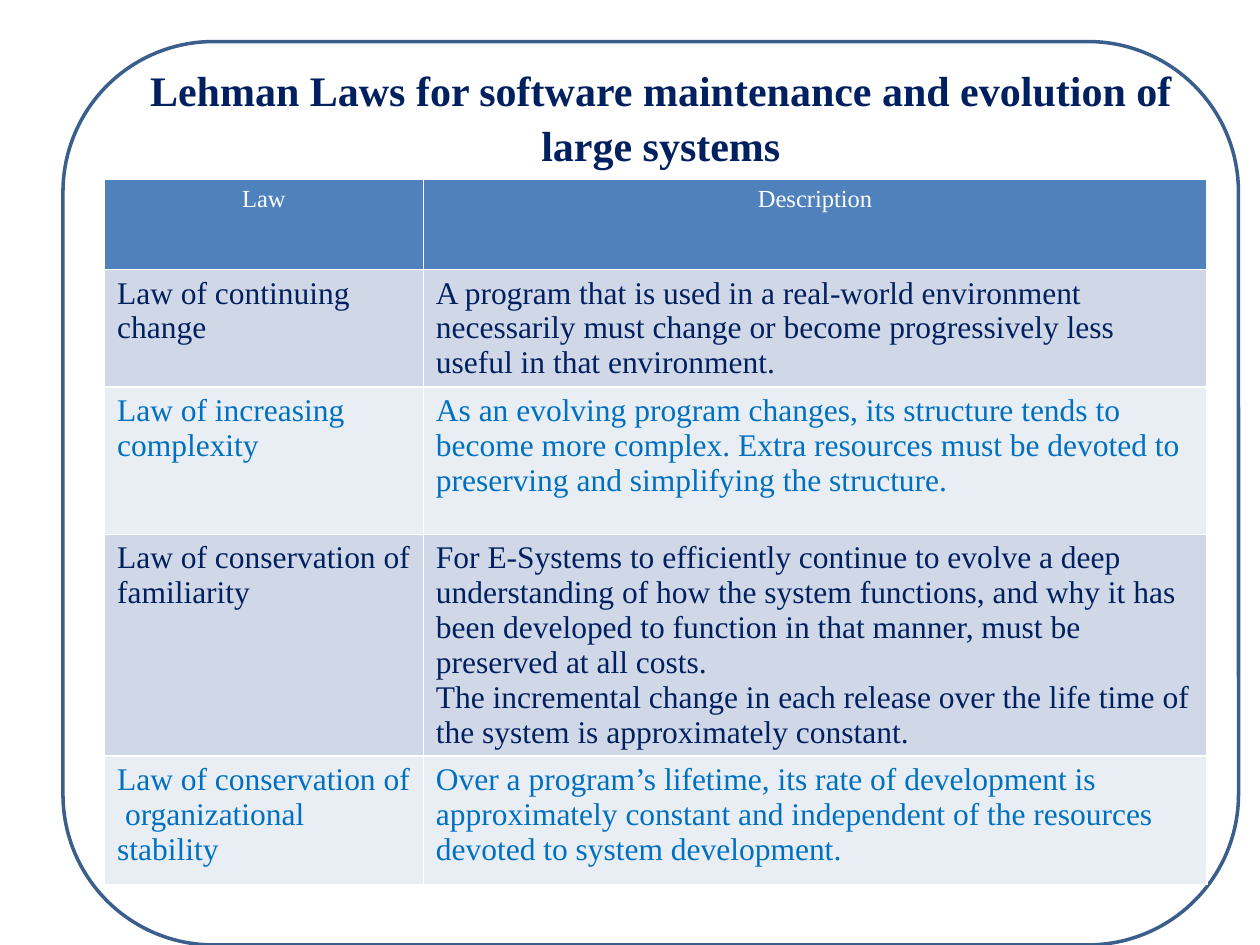
from typing import NamedTuple

from pptx import Presentation
from pptx import util as u
from pptx.dml.color import RGBColor
from pptx.enum import shapes, text

FONT = "Times New Roman"
COLORS = {
    "white": "FFFFFF", "frame": "3A5F8C", "header": "4F81BD",
    "navy": "002060", "blue": "0070C0",
    "band_dark": "D0D8E8", "band_light": "E9EDF4",
}
# (text colour, fill) of the alternating rows
BANDS = [("navy", "band_dark"), ("blue", "band_light")]
COLUMN_WIDTHS = [2.53, 6.22]
HEADER_HEIGHT = 0.72


class Law(NamedTuple):
    name: str
    description: str
    height: float


LAWS = [
    Law("Law of continuing  change",
        "A program that is used in a real-world environment necessarily must "
        "change or become progressively less useful in that environment.", 0.76),
    Law("Law of increasing complexity",
        "As an evolving program changes, its structure tends to become more "
        "complex. Extra resources must be devoted to preserving and "
        "simplifying the structure.", 1.17),
    Law("Law of conservation of familiarity",
        "For E-Systems to efficiently continue to evolve a deep understanding "
        "of how the system functions, and why it has been developed to "
        "function in that manner, must be preserved at all costs.\n"
        "The incremental change in each release over the life time of the "
        "system is approximately constant.", 1.02),
    Law("Law of conservation of  organizational stability",
        "Over a program’s lifetime, its rate of development is approximately "
        "constant and independent of the resources devoted to system "
        "development.", 1.02),
]


def rgb(name: str) -> RGBColor:
    return RGBColor.from_string(COLORS[name])


def write(frame, words: str, *, size: float, color: str, bold: bool = False,
          align=text.PP_ALIGN.LEFT, spacing: float = 1.0) -> None:
    frame.word_wrap = True
    frame.text = words
    for paragraph in frame.paragraphs:
        paragraph.alignment = align
        paragraph.line_spacing = spacing
        for run in paragraph.runs:
            run.font.name = FONT
            run.font.size = u.Pt(size)
            run.font.bold = bold
            run.font.color.rgb = rgb(color)


def fill_row(table, row: int, words: tuple, height: float, fill: str, **style) -> None:
    table.rows[row].height = u.Inches(height)
    for column, entry in enumerate(words):
        cell = table.cell(row, column)
        cell.fill.solid()
        cell.fill.fore_color.rgb = rgb(fill)
        write(cell.text_frame, entry, **style)


def add_frame(slide) -> None:
    frame = slide.shapes.add_shape(
        shapes.MSO_SHAPE.ROUNDED_RECTANGLE,
        u.Inches(0.5), u.Inches(0.33), u.Inches(9.33), u.Inches(7.17))
    frame.shadow.inherit = False
    frame.fill.solid()
    frame.fill.fore_color.rgb = rgb("white")
    frame.line.color.rgb = rgb("frame")
    frame.line.width = u.Pt(2)


def add_laws(slide) -> None:
    height = HEADER_HEIGHT + sum(law.height for law in LAWS)
    table = slide.shapes.add_table(
        len(LAWS) + 1, len(COLUMN_WIDTHS), u.Inches(0.83), u.Inches(1.42),
        u.Inches(sum(COLUMN_WIDTHS)), u.Inches(height)).table
    for column, width in zip(table.columns, COLUMN_WIDTHS):
        column.width = u.Inches(width)
    fill_row(table, 0, ("Law", "Description"), HEADER_HEIGHT, "header",
             size=14, color="white", align=text.PP_ALIGN.CENTER)
    for index, law in enumerate(LAWS):
        color, fill = BANDS[index % len(BANDS)]
        fill_row(table, index + 1, (law.name, law.description), law.height,
                 fill, size=18, color=color)


def place_title(slide) -> None:
    title = slide.shapes.title
    title.left, title.top = u.Inches(1.08), u.Inches(0.42)
    title.width, title.height = u.Inches(8.33), u.Inches(1.31)
    title.text_frame.vertical_anchor = text.MSO_ANCHOR.TOP
    title.text_frame.auto_size = text.MSO_AUTO_SIZE.SHAPE_TO_FIT_TEXT
    write(title.text_frame,
          "Lehman Laws for software maintenance and evolution of large systems",
          size=24, color="navy", bold=True, align=text.PP_ALIGN.CENTER, spacing=1.1)
    # Bring the title in front of the filled frame
    slide.shapes._spTree.append(title._element)


def main() -> None:
    deck = Presentation()
    deck.slide_width, deck.slide_height = u.Inches(10), u.Inches(7.5)
    slide = deck.slides.add_slide(deck.slide_layouts.get_by_name("Title Only"))
    add_frame(slide)
    add_laws(slide)
    place_title(slide)
    deck.save("out.pptx")


if __name__ == "__main__":
    main()
